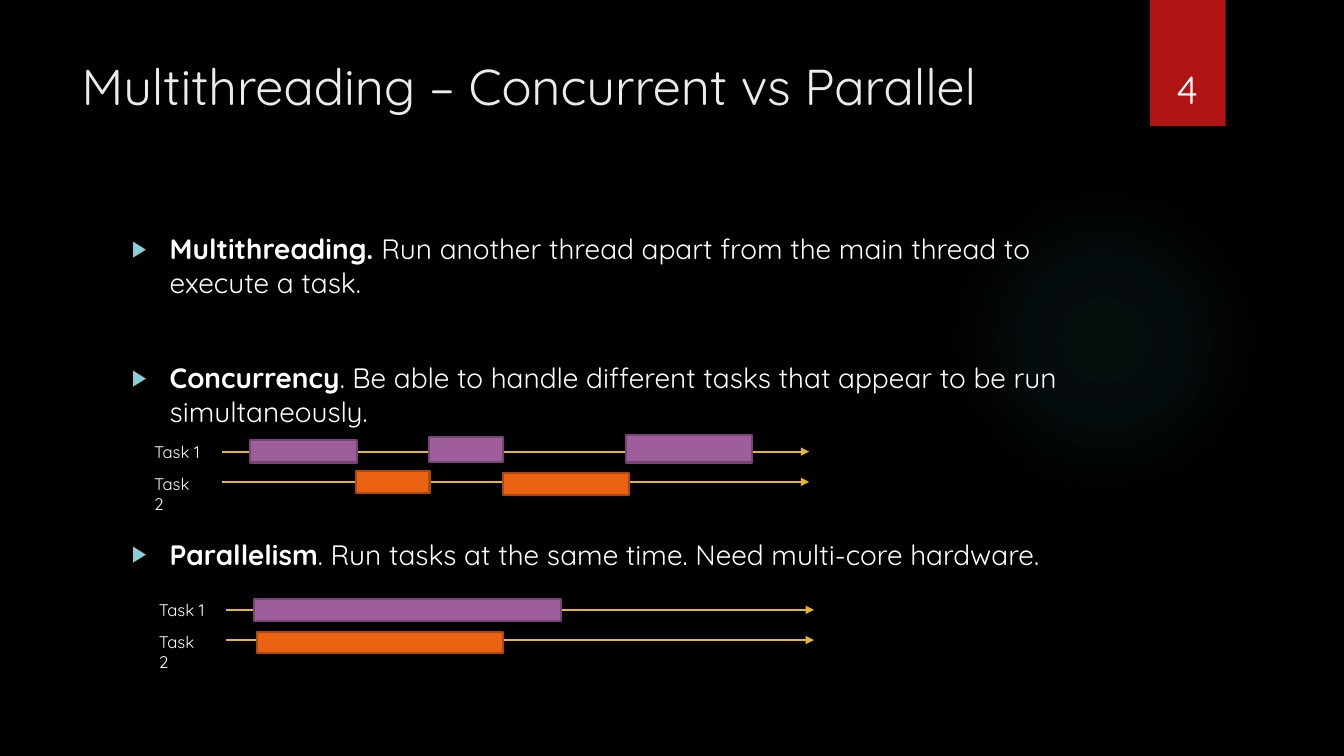
from pptx import Presentation
from pptx.dml.color import RGBColor
from pptx.enum.shapes import MSO_CONNECTOR as Link, MSO_SHAPE as Kind
from pptx.enum.text import MSO_ANCHOR as Anchor, PP_ALIGN as Align
from pptx.oxml import parse_xml
from pptx.oxml.ns import nsdecls, qn
from pptx.util import Pt
from lxml.etree import SubElement

FONT = "Quicksand"
WHITE = "FFFFFF"
PURPLE = ("9E5E9B", "754673")
ORANGE = ("EA6312", "AD490D")

# Space before, bold lead, rest of the bullet
BULLETS = [
    (10, "Multithreading. ",
     "Run another thread apart from the main thread to execute a task."),
    (44, "Concurrency",
     ". Be able to handle different tasks that appear to be run simultaneously."),
    (78, "Parallelism", ". Run tasks at the same time. Need multi-core hardware."),
]
# Left, top, width, height, colours
SHARED = [
    (178.6, 314.6, 76.3, 15.8, PURPLE),
    (254.2, 336.2, 52.6, 15.8, ORANGE),
    (306.7, 312.5, 52.6, 17.3, PURPLE),
    (359.3, 337.7, 90, 15.8, ORANGE),
    (447.1, 311, 90, 19.4, PURPLE),
]
SPLIT = [
    (181.4, 427.7, 219.6, 15.8, PURPLE),
    (183.6, 451.4, 175.7, 15.1, ORANGE),
]


def color(code):
    return RGBColor.from_string(code)


def place(item, x, y, w, h):
    item.left, item.top, item.width, item.height = Pt(x), Pt(y), Pt(w), Pt(h)


def add_run(para, text, size, code=WHITE, bold=False):
    run = para.add_run()
    run.text = text
    font = run.font
    font.name, font.size, font.bold = FONT, Pt(size), bold
    font.color.rgb = color(code)


def add_box(slide, x, y, w, h, anchor=Anchor.TOP):
    frame = slide.shapes.add_textbox(Pt(x), Pt(y), Pt(w), Pt(h)).text_frame
    frame.word_wrap = True
    frame.vertical_anchor = anchor
    return frame


def add_bar(slide, x, y, w, h, fill, line=None, kind=Kind.RECTANGLE):
    bar = slide.shapes.add_shape(kind, Pt(x), Pt(y), Pt(w), Pt(h))
    bar.shadow.inherit = False
    bar.fill.solid()
    bar.fill.fore_color.rgb = color(fill)
    if line:
        bar.line.color.rgb = color(line)
        bar.line.width = Pt(1.5)
    else:
        bar.line.fill.background()
    return bar


def add_glow(slide):
    """Faint round light that fades out to its edge."""
    glow = add_bar(slide, 677.5, 131.8, 221.8, 221.8, "50B9C1", kind=Kind.OVAL)
    stops = "".join(
        f'<a:gs pos="{pos * 1000}"><a:srgbClr val="50B9C1">'
        f'<a:alpha val="{alpha * 1000}"/></a:srgbClr></a:gs>'
        for pos, alpha in [(0, 7), (36, 6), (69, 0)])
    fade = parse_xml(
        f'<a:gradFill {nsdecls("a")}><a:gsLst>{stops}</a:gsLst>'
        '<a:path path="circle"><a:fillToRect l="50000" t="50000" '
        'r="50000" b="50000"/></a:path></a:gradFill>')
    props = glow._element.spPr
    props.replace(props.find(qn("a:solidFill")), fade)


def add_arrow(slide, x, y, length):
    arrow = slide.shapes.add_connector(
        Link.STRAIGHT, Pt(x), Pt(y), Pt(x + length), Pt(y))
    arrow.line.color.rgb = color("E6B729")
    arrow.line.width = Pt(1.5)
    SubElement(arrow.line._get_or_add_ln(), qn("a:tailEnd"), type="triangle")
    SubElement(arrow._element.spPr, qn("a:effectLst"))


def add_lanes(slide, x, y, bars):
    """Two task time lines with their labels and bars."""
    for row in range(2):
        add_arrow(slide, x, y + 21.6 * row, 419.6)
    for left, top, w, h, (fill, line) in bars:
        add_bar(slide, left, top, w, h, fill, line)
    for row in range(2):
        frame = add_box(slide, x - 55.4, y - 10.8 + 23 * row, 49, 21.6)
        add_run(frame.paragraphs[0], f"Task {row + 1}", 12)


def add_bullets(slide):
    frame = add_box(slide, 87.1, 162, 704.2, 330.5)
    for i, (gap, lead, rest) in enumerate(BULLETS):
        para = frame.add_paragraph() if i else frame.paragraphs[0]
        para.space_before = Pt(gap)
        props = para._p.get_or_add_pPr()
        props.set("marL", str(Pt(27)))
        props.set("indent", str(-Pt(27)))
        tint = SubElement(props, qn("a:buClr"))
        SubElement(tint, qn("a:srgbClr"), val="8AD0D6")
        SubElement(props, qn("a:buSzPct"), val="80000")
        SubElement(props, qn("a:buFont"), typeface="Arial")
        SubElement(props, qn("a:buChar"), char="▶")
        add_run(para, lead, 20, bold=True)
        add_run(para, rest, 20)


def set_title(slide, text):
    title = slide.shapes.title
    place(title, 51.1, 36, 740.9, 110.2)
    frame = title.text_frame
    frame.word_wrap = True
    frame.vertical_anchor = Anchor.TOP
    para = frame.paragraphs[0]
    para.alignment = Align.LEFT
    add_run(para, text, 36, "EBEBEB")


def add_number(slide, text):
    add_bar(slide, 821.5, 0, 54, 90, "B01513")
    frame = add_box(slide, 815, 23, 66.2, 60.5, Anchor.BOTTOM)
    para = frame.paragraphs[0]
    para.alignment = Align.CENTER
    add_run(para, text, 28)


def main():
    deck = Presentation()
    deck.slide_width, deck.slide_height = Pt(960), Pt(540)
    slide = deck.slides.add_slide(deck.slide_layouts[5])
    back = slide.background.fill
    back.solid()
    back.fore_color.rgb = color("000000")
    add_glow(slide)
    set_title(slide, "Multithreading – Concurrent vs Parallel")
    add_bullets(slide)
    add_lanes(slide, 158.4, 322.6, SHARED)
    add_lanes(slide, 161.8, 435.6, SPLIT)
    add_number(slide, "4")
    deck.save("out.pptx")


if __name__ == "__main__":
    main()
